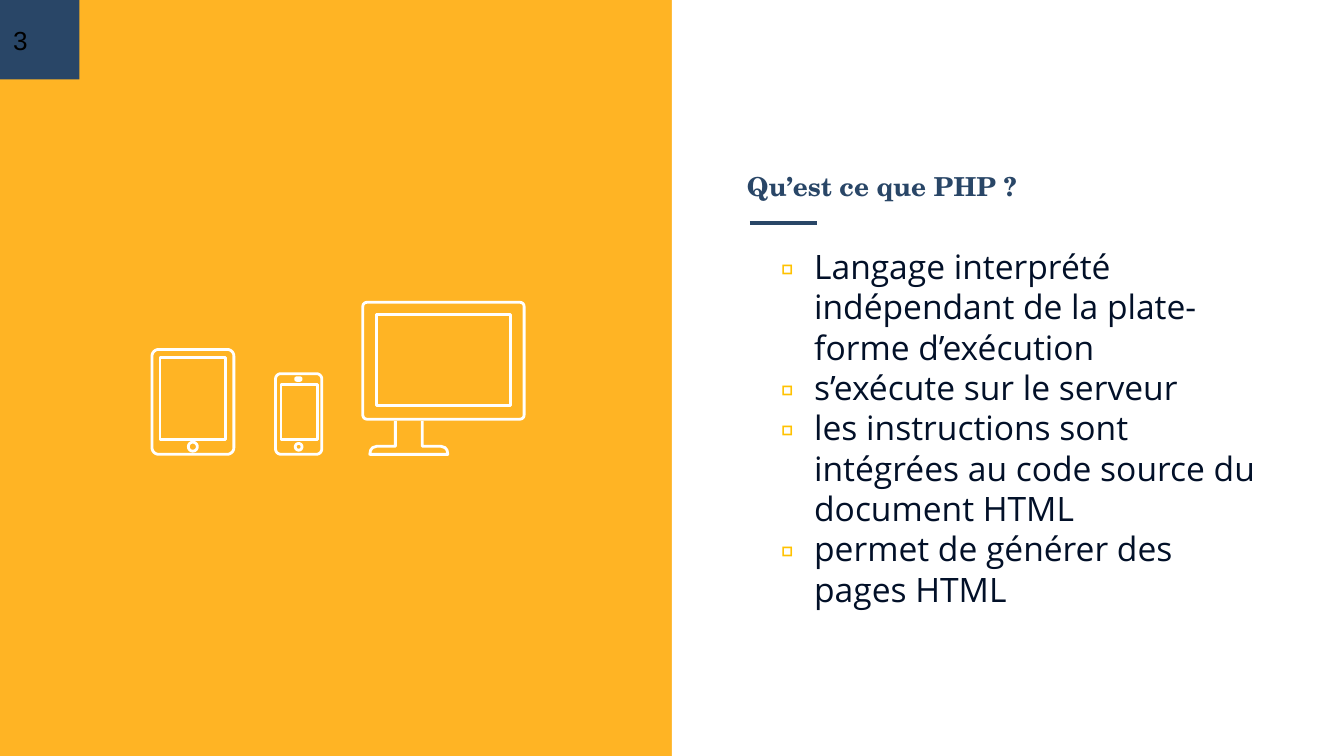
from math import cos, radians, sin

from lxml.etree import SubElement
from pptx import Presentation
from pptx.dml.color import RGBColor
from pptx.enum.shapes import MSO_CONNECTOR as Connector, MSO_SHAPE as Shape
from pptx.enum.text import MSO_ANCHOR as Anchor
from pptx.oxml.ns import qn
from pptx.util import Pt

COLORS = {
    "amber": "FFA800",
    "navy": "294667",
    "ink": "021028",
    "bullet": "FFC200",
    "white": "FFFFFF",
    "black": "000000",
}
TITLE = {"name": "TeX Gyre Schola", "size": Pt(14), "bold": True}
BODY = {"name": "Open Sans", "size": Pt(18)}
NUMBER = {"name": "Arial", "size": Pt(14)}
POINTS = [
    "Langage interprété indépendant de la plate-forme d’exécution",
    "s’exécute sur le serveur",
    "les instructions sont intégrées au code source du document HTML",
    "permet de générer des pages HTML",
]


def rgb(name):
    return RGBColor.from_string(COLORS[name])


def add_panel(page, box, color, opacity=100):
    panel = page.shapes.add_shape(Shape.RECTANGLE, *map(Pt, box))
    panel.shadow.inherit = False
    panel.fill.solid()
    panel.fill.fore_color.rgb = rgb(color)
    panel.line.fill.background()
    if opacity < 100:
        tint = panel.fill._xPr.find(".//" + qn("a:srgbClr"))
        SubElement(tint, qn("a:alpha"), val=str(opacity * 1000))


def add_text(page, box, lines, font, color, anchor=Anchor.TOP):
    frame = page.shapes.add_textbox(*map(Pt, box)).text_frame
    layout = {"word_wrap": True, "vertical_anchor": anchor}
    layout.update({f"margin_{side}": Pt(7.2) for side in ("left", "top", "right", "bottom")})
    for key, value in layout.items():
        setattr(frame, key, value)
    for index, line in enumerate(lines):
        para = frame.paragraphs[0] if index == 0 else frame.add_paragraph()
        span = para.add_run()
        span.text = line
        for key, value in font.items():
            setattr(span.font, key, value)
        span.font.color.rgb = rgb(color)
    return frame


def add_bullet(para):
    props = para._p.get_or_add_pPr()
    props.set("marL", str(Pt(36)))
    props.set("indent", str(Pt(-18)))
    tint = SubElement(props, qn("a:buClr"))
    SubElement(tint, qn("a:srgbClr"), val=COLORS["bullet"])
    SubElement(props, qn("a:buFont"), typeface=BODY["name"])
    SubElement(props, qn("a:buChar"), char="▫")


def rounded(left, top, width, height, radius=0):
    if not radius:
        right, bottom = left + width, top + height
        return [(left, top), (right, top), (right, bottom), (left, bottom)]
    centers = [
        (left + width - radius, top + height - radius),
        (left + radius, top + height - radius),
        (left + radius, top + radius),
        (left + width - radius, top + radius),
    ]
    return [
        (x + radius * cos(radians(angle)), y + radius * sin(radians(angle)))
        for corner, (x, y) in enumerate(centers)
        for angle in (corner * 90 + step * 15 for step in range(7))
    ]


def add_outline(page, origin, contours, close=True):
    placed = [
        [(Pt(origin[0] + x), Pt(origin[1] + y)) for x, y in contour]
        for contour in contours
    ]
    builder = page.shapes.build_freeform(*placed[0][0])
    for index, contour in enumerate(placed):
        if index:
            builder.move_to(*contour[0])
        builder.add_line_segments(contour[1:], close=close)
    outline = builder.convert_to_shape()
    outline.shadow.inherit = False
    outline.fill.background()
    outline.line.color.rgb = rgb("white")
    outline.line.width = Pt(1.5)


def add_devices(page, box):
    left, top = box[:2]
    tablet = [
        rounded(0, 0, 43.9, 56.2, 3.6),
        rounded(19.5, 49.7, 4.8, 4.8, 2.4),
        rounded(4.3, 4.3, 35.3, 43.9),
    ]
    phone = [
        rounded(0, 0, 24.8, 43.2, 2.9),
        rounded(10.8, 2.2, 2.9, 1.4, 0.7),
        rounded(10.6, 37.4, 3.6, 3.6, 1.8),
        rounded(2.9, 5.8, 19.4, 29.5),
    ]
    monitor = [rounded(0, 0, 86.4, 62.6, 2.2), rounded(7.2, 6.5, 72, 49)]
    half_stand = [(7.2, 0), (7.2, 13.7), (17.3, 13.7), (19.4, 14.4), (20.5, 15.8), (20.9, 18)]
    stand = [(20.9 - x, y) for x, y in half_stand]
    stand += [(20.9 + x, y) for x, y in reversed(half_stand)]
    add_outline(page, (left, top + 25.2), tablet)
    add_outline(page, (left + 66.2, top + 38.2), phone)
    add_outline(page, (left + 116.7, top + 63.4), [stand], close=False)
    add_outline(page, (left + 113, top), monitor)


def add_picture_side(page, box):
    left, top, width, height = box
    add_panel(page, box, "amber", opacity=86)
    add_devices(page, (left + 81.4, top + 162, 199.4, 81.4))


def add_text_side(page, box):
    left, top, width, height = box
    add_panel(page, box, "white")
    rule = page.shapes.add_connector(
        Connector.STRAIGHT, *map(Pt, (left + 41.8, top + 119.5, left + 77.8, top + 119.5))
    )
    rule.line.color.rgb = rgb("navy")
    rule.line.width = Pt(2.25)
    SubElement(rule._element.spPr, qn("a:effectLst"))
    add_text(page, (left + 33.1, top + 54.7, 290.9, 60.5), ["Qu’est ce que PHP ?"],
             TITLE, "navy", Anchor.BOTTOM)
    frame = add_text(page, (left + 33.1, top + 124.6, 290.9, 262.8), POINTS, BODY, "ink")
    for para in frame.paragraphs:
        para.line_spacing = Pt(21.6)
        add_bullet(para)


def add_page_number(page, box):
    add_panel(page, box, "navy")
    add_text(page, box, ["3"], NUMBER, "black", Anchor.MIDDLE)


def main():
    deck = Presentation()
    deck.slide_width, deck.slide_height = Pt(720), Pt(405)
    page = deck.slides.add_slide(deck.slide_layouts[6])
    add_picture_side(page, (0, 0, 360, 405))
    add_text_side(page, (360, 0, 360, 405))
    add_page_number(page, (0, 0, 42.5, 42.5))
    deck.save("out.pptx")


if __name__ == "__main__":
    main()
